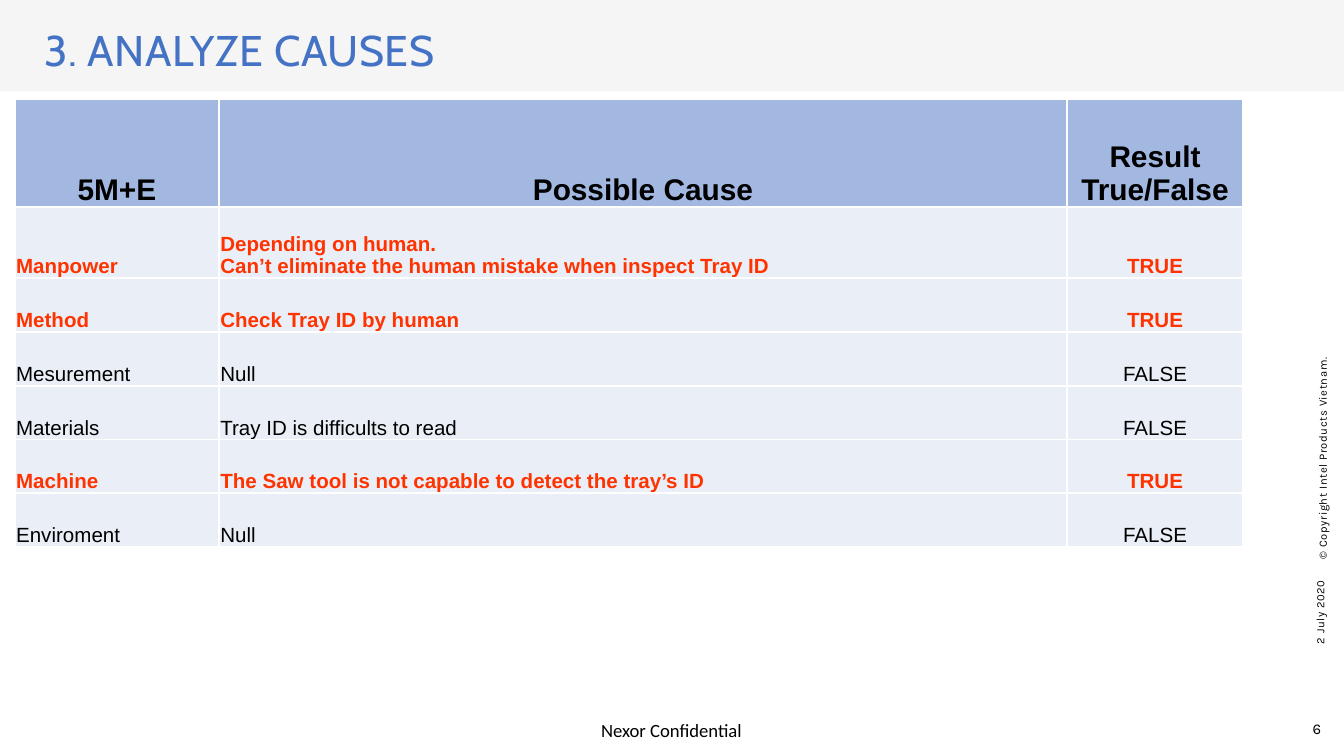
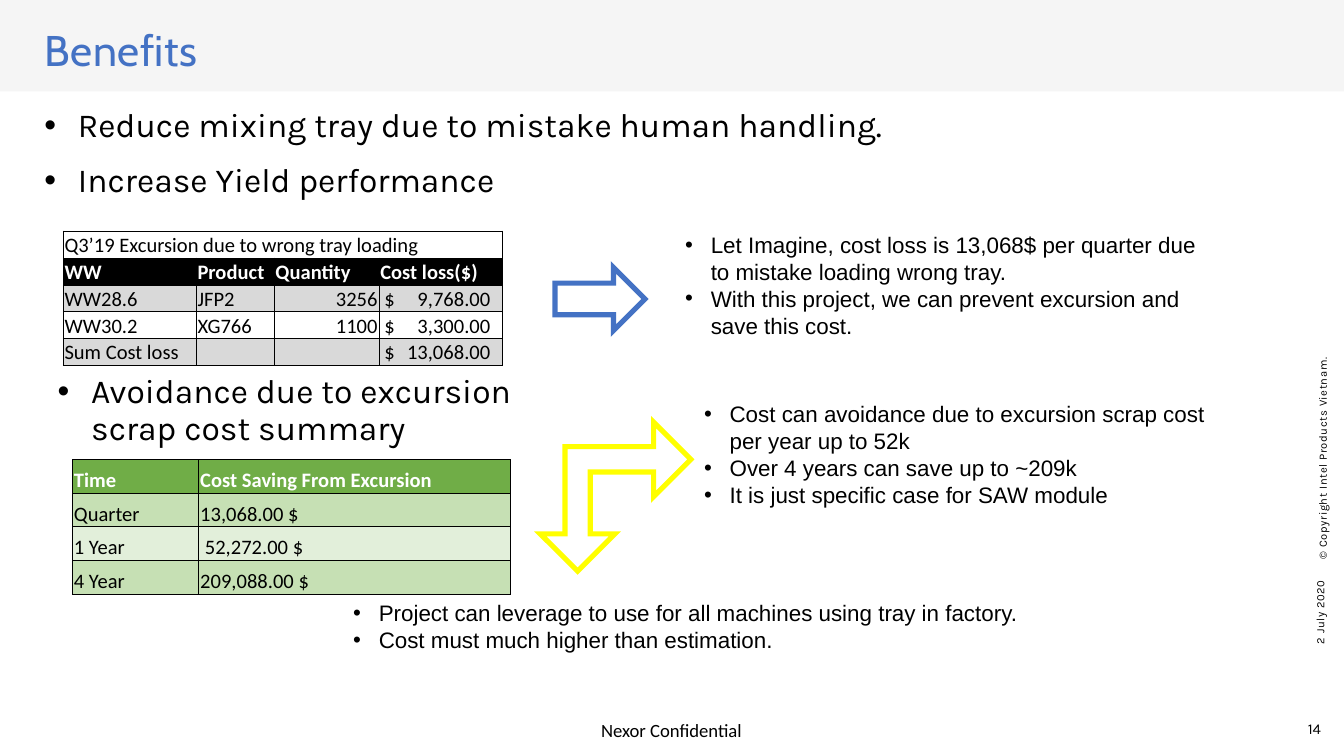
from dataclasses import dataclass, replace
from typing import Optional

from lxml import etree
from pptx import Presentation
from pptx import util as u
from pptx.dml.color import RGBColor
from pptx.enum import shapes, text
from pptx.oxml.ns import qn

PX = u.Inches(1) // 100  # one px is a hundredth of an inch
SLIDE_WIDTH = 1000

COLORS = {
    "white": "FFFFFF", "black": "000000", "band": "F5F5F5", "blue": "4472C4",
    "header": "A2B8E1", "row": "EAEFF7", "alert": "FF3300", "grey": "D9D9D9",
    "green": "70AD47", "light_green": "C6E0B4", "pale_green": "E2EFDA",
    "yellow": "FFFF00",
}
LEFT, CENTER, RIGHT = text.PP_ALIGN.LEFT, text.PP_ALIGN.CENTER, text.PP_ALIGN.RIGHT
TOP, MIDDLE, BOTTOM = text.MSO_ANCHOR.TOP, text.MSO_ANCHOR.MIDDLE, text.MSO_ANCHOR.BOTTOM


@dataclass(frozen=True)
class Box:
    left: int
    top: int
    width: int
    height: int

    def emu(self) -> tuple[int, ...]:
        return tuple(side * PX for side in (self.left, self.top, self.width, self.height))


@dataclass(frozen=True)
class Style:
    font: str
    size: int
    color: str = "black"
    bold: bool = False
    align: text.PP_ALIGN = LEFT
    line_spacing: float = 1.0
    space_before: int = 0
    tracking: int = 0  # hundredths of a point
    bullet_indent: int = 0


@dataclass(frozen=True)
class Footer:
    box: Box
    words: str
    style: Style
    rotation: int = 0
    anchor: text.MSO_ANCHOR = MIDDLE


@dataclass(frozen=True)
class Row:
    words: tuple[str, ...]
    fill: Optional[str]
    style: Style
    height: int


@dataclass(frozen=True)
class Grid:
    box: Box
    columns: tuple[int, ...]
    rows: tuple[Row, ...]
    border: str
    border_width: float


@dataclass(frozen=True)
class Arrow:
    box: Box
    kind: shapes.MSO_SHAPE
    color: str
    rotation: int = 0
    adjustments: tuple[float, ...] = ()


# Text styles
TITLE = Style("Cabin", 23, "blue", line_spacing=0.8, tracking=30)
POINT = Style("Karla", 18, line_spacing=0.9, space_before=10, bullet_indent=25)
NOTE = Style("Arial", 12, bullet_indent=19)
SIDE = Style("Karla", 6, tracking=30)
CELL = Style("Calibri", 11)
CELL_HEAD = replace(CELL, color="white", bold=True)
CAUSE = Style("Arial", 11)
CAUSE_TRUE = replace(CAUSE, color="alert", bold=True)
CAUSE_HEAD = Style("Arial", 16, bold=True, align=CENTER)

FOOTERS = (
    Footer(Box(894, 311, 180, 30), "© Copyright Intel Products Vietnam.", SIDE, 270),
    Footer(Box(350, 537, 299, 15), "Nexor Confidential",
           Style("Calibri", 10, align=CENTER, line_spacing=0.9)),
    Footer(Box(935, 464, 94, 30), "2 July 2020", replace(SIDE, align=RIGHT), 270),
)
NUMBER_BOX = Box(933, 529, 50, 20)
NUMBER_STYLE = Style("Karla", 8, align=RIGHT)


def rgb(name: str) -> RGBColor:
    return RGBColor.from_string(COLORS[name])


def format_paragraph(paragraph, style: Style, first: bool = True) -> None:
    properties = paragraph._p.get_or_add_pPr()
    if style.bullet_indent:
        indent = style.bullet_indent * PX
        properties.set("marL", str(indent))
        properties.set("indent", str(-indent))
        etree.SubElement(properties, qn("a:buFont"), typeface="Arial")
        etree.SubElement(properties, qn("a:buChar"), char="•")
    paragraph.alignment = style.align
    paragraph.line_spacing = style.line_spacing
    paragraph.space_before = u.Pt(0 if first else style.space_before)
    for line_break in paragraph._p.findall(qn("a:br")):
        etree.SubElement(line_break, qn("a:rPr"), sz=str(style.size * 100))
    for run in paragraph.runs:
        run.font.name = style.font
        run.font.size = u.Pt(style.size)
        run.font.bold = style.bold
        run.font.color.rgb = rgb(style.color)
        if style.tracking:
            run._r.get_or_add_rPr().set("spc", str(style.tracking))
    if not paragraph.runs:
        etree.SubElement(paragraph._p, qn("a:endParaRPr"), sz=str(style.size * 100))


def fill_text(shape, lines: tuple[str, ...], style: Style,
              margins: tuple[int, int, int, int], anchor=TOP) -> None:
    frame = shape.text_frame
    frame.text = "\n".join(lines)
    frame.word_wrap = True
    frame.auto_size = text.MSO_AUTO_SIZE.NONE
    frame.vertical_anchor = anchor
    (frame.margin_left, frame.margin_top,
     frame.margin_right, frame.margin_bottom) = (side * PX for side in margins)
    for index, paragraph in enumerate(frame.paragraphs):
        format_paragraph(paragraph, style, index == 0)


def place(shape, box: Box) -> None:
    shape.left, shape.top, shape.width, shape.height = box.emu()


def add_text(slide, box: Box, lines: tuple[str, ...], style: Style,
             margins=(10, 5, 10, 5), anchor=TOP):
    shape = slide.shapes.add_textbox(*box.emu())
    fill_text(shape, lines, style, margins, anchor)
    return shape


def add_arrow(slide, arrow: Arrow) -> None:
    shape = slide.shapes.add_shape(arrow.kind, *arrow.box.emu())
    shape.shadow.inherit = False
    shape.rotation = arrow.rotation
    for index, value in enumerate(arrow.adjustments):
        shape.adjustments[index] = value
    shape.fill.solid()
    shape.fill.fore_color.rgb = rgb("white")
    shape.line.color.rgb = rgb(arrow.color)
    shape.line.width = u.Pt(2.75)
    outline = shape._element.spPr.find(qn("a:ln"))
    etree.SubElement(outline, qn("a:miter"), lim="800000")  # sharp corners


def add_borders(cell, color: str, width: float) -> None:
    properties = cell._tc.get_or_add_tcPr()
    for side in ("lnL", "lnR", "lnT", "lnB"):
        line = etree.SubElement(properties, qn(f"a:{side}"), w=str(u.Pt(width)))
        solid = etree.SubElement(line, qn("a:solidFill"))
        etree.SubElement(solid, qn("a:srgbClr"), val=COLORS[color])


def format_cell(cell, words: str, row: Row, align: text.PP_ALIGN) -> None:
    cell.vertical_anchor = BOTTOM
    cell.margin_left = cell.margin_top = cell.margin_right = PX
    cell.margin_bottom = 0
    if row.fill:
        cell.fill.solid()
        cell.fill.fore_color.rgb = rgb(row.fill)
    else:
        cell.fill.background()
    paragraph = cell.text_frame.paragraphs[0]
    paragraph.text = words
    if "\t" in words:  # currency sign left, amount on a right tab
        cell.margin_left = 4 * PX
        tabs = etree.SubElement(paragraph._p.get_or_add_pPr(), qn("a:tabLst"))
        etree.SubElement(tabs, qn("a:tab"), pos=str(79 * PX), algn="r")
    format_paragraph(paragraph, replace(row.style, align=align))


def add_grid(slide, grid: Grid) -> None:
    table = slide.shapes.add_table(
        len(grid.rows), len(grid.columns), *grid.box.emu()).table
    table.first_row = table.horz_banding = False
    for column, width in zip(table.columns, grid.columns):
        column.width = width * PX
    for index, row in enumerate(grid.rows):
        table.rows[index].height = row.height * PX
        for position in range(len(grid.columns)):
            cell = table.cell(index, position)
            add_borders(cell, grid.border, grid.border_width)
            words = row.words[position] if position < len(row.words) else ""
            align = row.style.align
            if words in ("TRUE", "FALSE"):
                align = CENTER
            elif words.isdigit():
                align = RIGHT
            format_cell(cell, words, row, align)
        if len(row.words) == 1:
            table.cell(index, 0).merge(table.cell(index, len(grid.columns) - 1))


def add_slide(presentation, layout: int, title: str, number: int):
    slide = presentation.slides.add_slide(presentation.slide_layouts[layout])
    band = slide.shapes.add_shape(
        shapes.MSO_SHAPE.RECTANGLE, *Box(0, 0, SLIDE_WIDTH, 68).emu())
    band.shadow.inherit = False
    band.fill.solid()
    band.fill.fore_color.rgb = rgb("band")
    band.line.fill.background()
    slide.shapes._spTree.insert(2, band._element)  # behind the title
    for footer in FOOTERS:
        shape = add_text(slide, footer.box, (footer.words,), footer.style,
                         (0, 0, 0, 0), footer.anchor)
        shape.rotation = footer.rotation
    add_text(slide, NUMBER_BOX, (str(number),), NUMBER_STYLE, (0, 0, 0, 0), BOTTOM)
    place(slide.shapes.title, Box(33, 0, 932, 60))
    fill_text(slide.shapes.title, (title,), TITLE, (0, 25, 0, 0))
    return slide


def build_causes(presentation) -> None:
    slide = add_slide(presentation, 5, "3. ANALYZE CAUSES", 6)
    causes = (
        ("Manpower", "Depending on human.\n"
         "Can’t eliminate the human mistake when inspect Tray ID", "TRUE"),
        ("Method", "Check Tray ID by human", "TRUE"),
        ("Mesurement", "Null", "FALSE"),
        ("Materials", "Tray ID is difficults to read", "FALSE"),
        ("Machine", "The Saw tool is not capable to detect the tray’s ID", "TRUE"),
        ("Enviroment", "Null", "FALSE"),
    )
    header = Row(("5M+E", "Possible Cause", "Result\nTrue/False"),
                 "header", CAUSE_HEAD, 80)
    rows = tuple(
        Row(cause, "row", CAUSE_TRUE if cause[2] == "TRUE" else CAUSE,
            53 if "\n" in cause[1] else 40)
        for cause in causes)
    add_grid(slide, Grid(Box(11, 74, 914, 333), (152, 631, 131),
                         (header, *rows), "white", 1))


def build_benefits(presentation) -> None:
    slide = add_slide(presentation, 1, "Benefits", 14)
    body = slide.placeholders[1]
    place(body, Box(33, 81, 932, 77))
    fill_text(body, ("Reduce mixing tray due to mistake human handling.",
                     "Increase Yield performance"), POINT, (0, 0, 10, 0))

    # Cost loss and savings tables
    add_grid(slide, Grid(Box(47, 172, 327, 100), (99, 58, 78, 92), (
        Row(("Q3’19 Excursion due to wrong tray loading",), None, CELL, 20),
        Row(("WW", "Product", "Quantity", "Cost loss($)"), "black", CELL_HEAD, 20),
        Row(("WW28.6", "JFP2", "3256", "$\t9,768.00"), "grey", CELL, 20),
        Row(("WW30.2", "XG766", "1100", "$\t3,300.00"), None, CELL, 20),
        Row(("Sum Cost loss", "", "", "$\t13,068.00"), "grey", CELL, 20),
    ), "black", 0.5))
    add_grid(slide, Grid(Box(54, 342, 326, 100), (94, 232), (
        Row(("Time", "Cost Saving From Excursion"), "green", CELL_HEAD, 25),
        Row(("Quarter", "13,068.00 $"), "light_green", CELL, 25),
        Row(("1 Year", " 52,272.00 $"), "pale_green", CELL, 25),
        Row(("4 Year", "209,088.00 $"), "light_green", CELL, 25),
    ), "black", 0.5))

    # Arrows
    add_arrow(slide, Arrow(Box(413, 199, 67, 47), shapes.MSO_SHAPE.RIGHT_ARROW, "blue"))
    add_arrow(slide, Arrow(Box(402, 314, 112, 111), shapes.MSO_SHAPE.LEFT_UP_ARROW,
                           "yellow", 180, (0.17, 0.25, 0.25)))

    # Bulleted notes
    add_text(slide, Box(33, 274, 369, 65),
             ("Avoidance due to excursion scrap cost summary",), POINT)
    add_text(slide, Box(500, 167, 411, 91), (
        "Let Imagine, cost loss is 13,068$ per quarter due to mistake loading wrong tray.",
        "With this project, we can prevent excursion and save this cost."), NOTE)
    add_text(slide, Box(514, 293, 411, 91), (
        "Cost can avoidance due to excursion scrap cost per year up to 52k",
        "Over 4 years can save up to ~209k",
        "It is just specific case for SAW module"), NOTE)
    add_text(slide, Box(253, 441, 557, 50), (
        "Project can leverage to use for all machines using tray in factory.",
        "Cost must much higher than estimation."), NOTE)


def main() -> None:
    presentation = Presentation()
    presentation.slide_width = SLIDE_WIDTH * PX
    presentation.slide_height = presentation.slide_width * 9 // 16
    build_causes(presentation)
    build_benefits(presentation)
    presentation.save("out.pptx")


if __name__ == "__main__":
    main()
